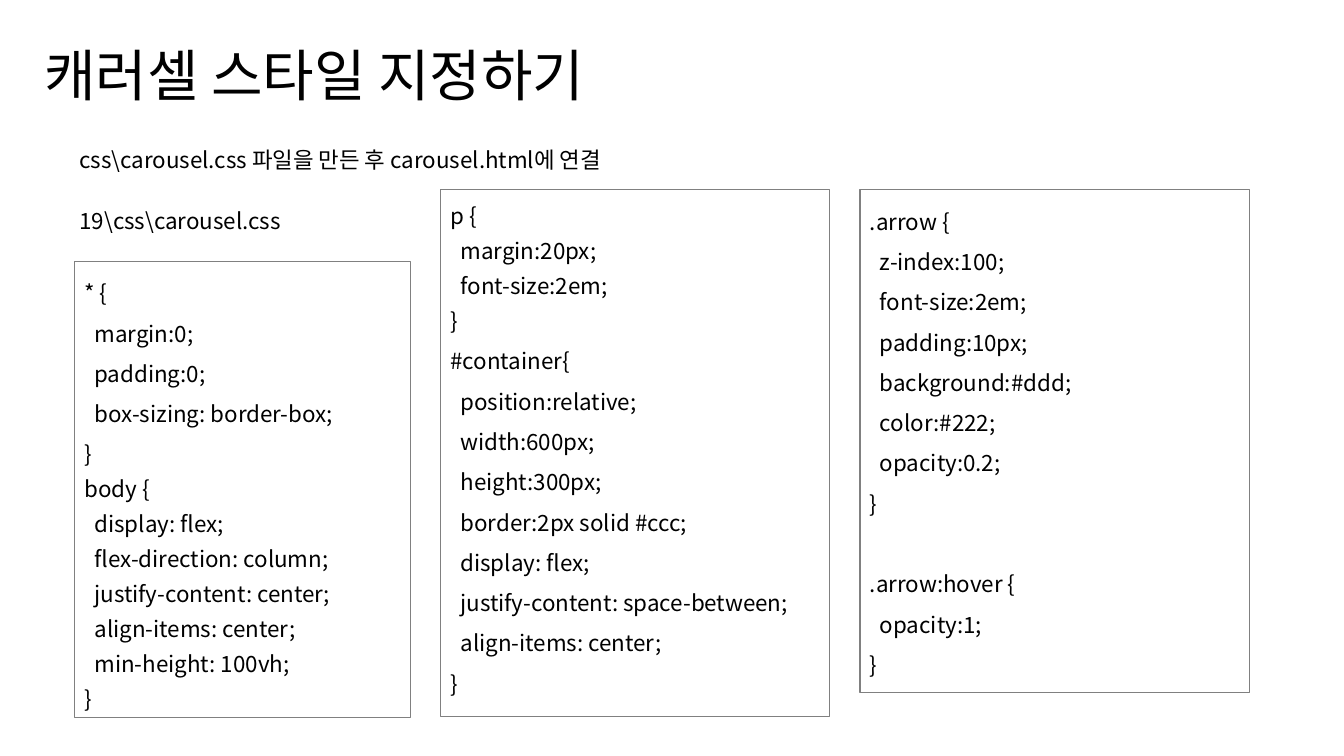
from lxml.etree import SubElement
from pptx import Presentation
from pptx.dml.color import RGBColor
from pptx.enum.shapes import MSO_SHAPE
from pptx.enum.text import MSO_ANCHOR, MSO_AUTO_SIZE, PP_ALIGN
from pptx.oxml.ns import qn
from pptx.util import Inches, Pt

BLACK = RGBColor(0x00, 0x00, 0x00)
GRAY = RGBColor(0x80, 0x80, 0x80)
FONT = "Noto Sans CJK KR"
WIDE, SNUG = 1.5, 1.3

RESET_RULE = """* {
  margin:0;
  padding:0;
  box-sizing: border-box;
}"""
BODY_RULE = """body {
  display: flex;
  flex-direction: column;
  justify-content: center;
  align-items: center;
  min-height: 100vh;
}"""
PARAGRAPH_RULE = """p {
  margin:20px;
  font-size:2em;
}"""
CONTAINER_RULE = """#container{
  position:relative;
  width:600px;
  height:300px;
  border:2px solid #ccc;
  display: flex;
  justify-content: space-between;
  align-items: center;
}"""
ARROW_RULES = """.arrow {
  z-index:100;
  font-size:2em;
  padding:10px;
  background:#ddd;
  color:#222;
  opacity:0.2;
}
\v.arrow:hover {
  opacity:1;
}"""


def style_paragraph(paragraph, size, spacing):
    paragraph.alignment = PP_ALIGN.LEFT
    paragraph.line_spacing = spacing
    paragraph.font.size = Pt(size)
    paragraph.font.name = FONT
    paragraph.font.color.rgb = BLACK
    defaults = paragraph._p.get_or_add_pPr().find(qn("a:defRPr"))
    SubElement(defaults, qn("a:ea")).set("typeface", FONT)


def fill_text(holder, lines, size=16):
    frame = holder.text_frame
    frame.word_wrap = True
    frame.auto_size = MSO_AUTO_SIZE.NONE
    frame.vertical_anchor = MSO_ANCHOR.TOP
    for index, (line, spacing) in enumerate(lines):
        paragraph = frame.paragraphs[0] if index == 0 else frame.add_paragraph()
        paragraph.text = line
        style_paragraph(paragraph, size, spacing)


def place_title(slide, left, top, width, height):
    title = slide.shapes.title
    title.left, title.top = Inches(left), Inches(top)
    title.width, title.height = Inches(width), Inches(height)
    fill_text(title, [("캐러셀 스타일 지정하기", 1.0)], 40)


def add_label(slide, left, top, width, height, text, spacing):
    label = slide.shapes.add_textbox(
        Inches(left), Inches(top), Inches(width), Inches(height))
    fill_text(label, [(text, spacing)])


def add_code_panel(slide, left, top, width, height, rules):
    panel = slide.shapes.add_shape(
        MSO_SHAPE.RECTANGLE, Inches(left), Inches(top), Inches(width), Inches(height))
    panel.shadow.inherit = False
    panel.fill.background()
    panel.line.color.rgb = GRAY
    panel.line.width = Pt(0.75)
    fill_text(panel, [(line, spacing) for rule, spacing in rules
                      for line in rule.split("\n")])


def build_slide(presentation):
    slide = presentation.slides.add_slide(presentation.slide_layouts[5])
    place_title(slide, 0.34, 0.35, 6.55, 0.77)
    add_label(slide, 0.69, 1.27, 7.34, 0.45,
              "css\\carousel.css 파일을 만든 후 carousel.html에 연결", WIDE)
    add_label(slide, 0.69, 2.01, 2.88, 0.37, "19\\css\\carousel.css", 1.0)
    add_code_panel(slide, 0.74, 2.59, 3.33, 4.53,
                   [(RESET_RULE, WIDE), (BODY_RULE, SNUG)])
    add_code_panel(slide, 4.37, 1.88, 3.86, 5.23,
                   [(PARAGRAPH_RULE, SNUG), (CONTAINER_RULE, WIDE)])
    add_code_panel(slide, 8.53, 1.88, 3.86, 4.99, [(ARROW_RULES, WIDE)])


def main():
    presentation = Presentation()
    presentation.slide_width = Inches(13.33)
    presentation.slide_height = Inches(7.5)
    build_slide(presentation)
    presentation.save("out.pptx")


if __name__ == "__main__":
    main()
